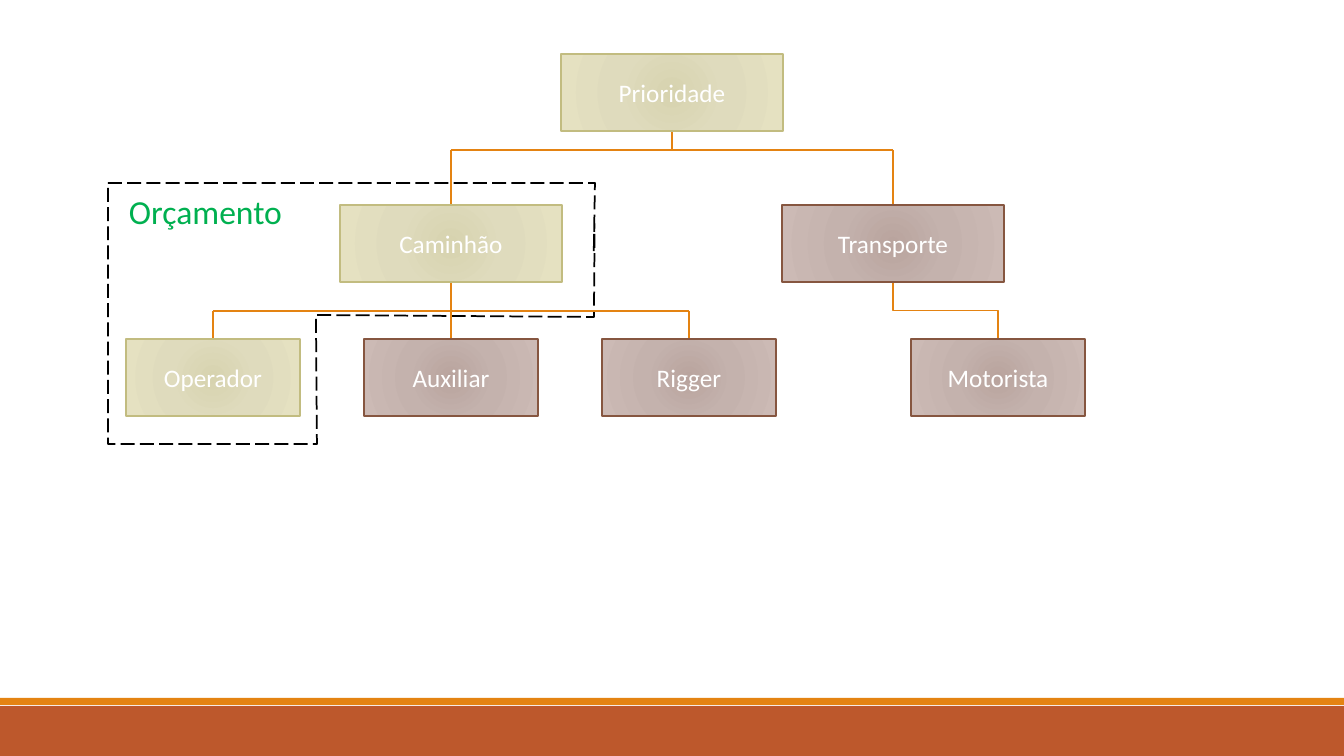
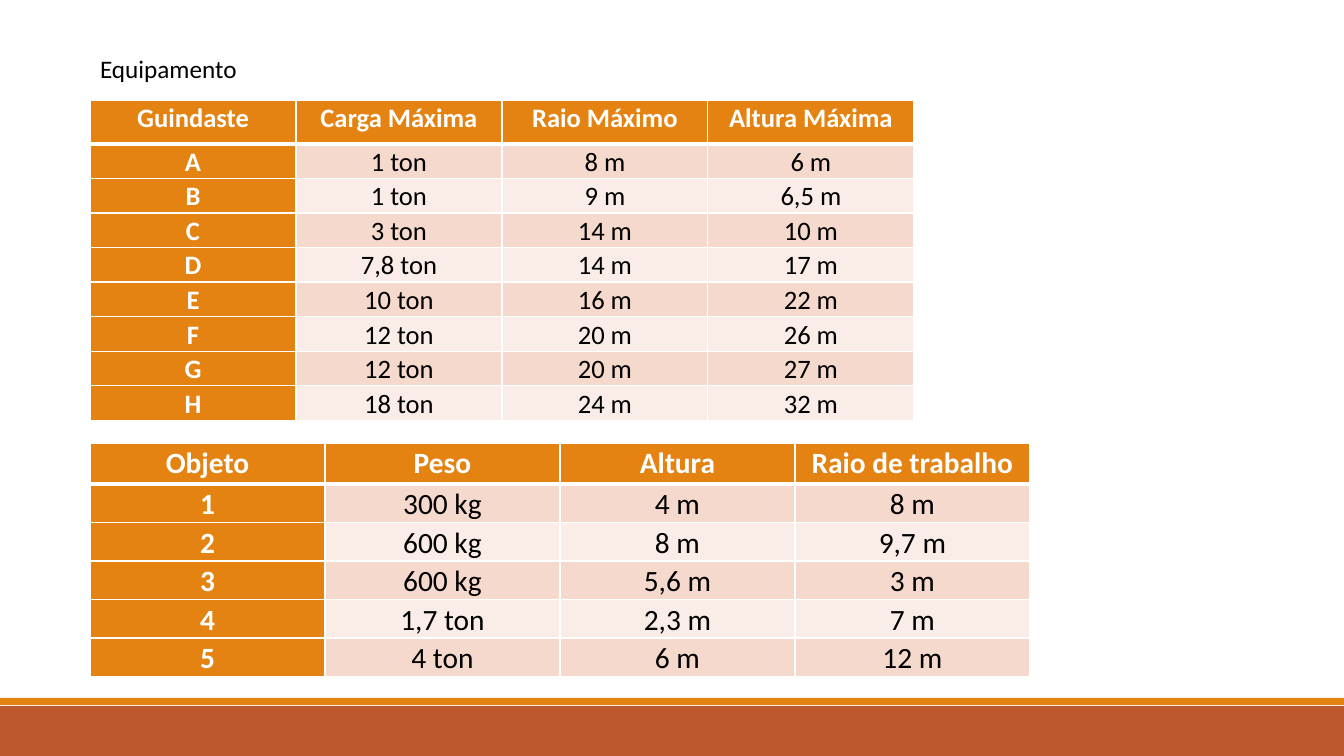
from pptx import Presentation
from pptx import util as u
from pptx.dml import color as colors
from pptx.enum import dml, shapes, text
from pptx.oxml import parse_xml
from pptx.oxml import ns

EMU_PER_PX = 12192000 / 1344
WHITE, BLACK, ORANGE, RUST, GREEN = "FFFFFF", "000000", "E48312", "BD582C", "00B050"
BAND_FILLS = ("F5D9CC", "FAEDE7")
OLIVE = {"stops": ((0, "D7D3AF"), (45, "DFDBBD"), (100, "E5E1C1")), "line": "C2BC80"}
MAUVE = {"stops": ((0, "B9A49E"), (45, "C4B2AD"), (100, "CCBAB5")), "line": "865640"}
CENTERED = {"alignment": text.PP_ALIGN.CENTER}
TABLE_PARAGRAPH = {**CENTERED, "line_spacing": 1.07, "space_after": u.Pt(8)}

CRANES = (
    ("Guindaste", "Carga Máxima", "Raio Máximo", "Altura Máxima"),
    ("A", "1 ton", "8 m", "6 m"),
    ("B", "1 ton", "9 m", "6,5 m"),
    ("C", "3 ton", "14 m", "10 m"),
    ("D", "7,8 ton", "14 m", "17 m"),
    ("E", "10 ton", "16 m", "22 m"),
    ("F", "12 ton", "20 m", "26 m"),
    ("G", "12 ton", "20 m", "27 m"),
    ("H", "18 ton", "24 m", "32 m"),
)
LOADS = (
    ("Objeto", "Peso", "Altura", "Raio de trabalho"),
    ("1", "300 kg", "4 m", "8 m"),
    ("2", "600 kg", "8 m", "9,7 m"),
    ("3", "600 kg", "5,6 m", "3 m"),
    ("4", "1,7 ton", "2,3 m", "7 m"),
    ("5", "4 ton", "6 m", "12 m"),
)


def px(length):
    return u.Emu(round(length * EMU_PER_PX))


def rgb(value):
    return colors.RGBColor.from_string(value)


def apply(target, values):
    for name, value in values.items():
        setattr(target, name, value)


def write(frame, words, size, color, bold=False, paragraph_format=None):
    paragraph = frame.paragraphs[0]
    apply(paragraph, paragraph_format or {})
    run = paragraph.add_run()
    run.text = words
    apply(run.font, {"name": "Calibri", "size": u.Pt(size), "bold": bold})
    run.font.color.rgb = rgb(color)


def set_line(line, color, points):
    line.color.rgb = rgb(color)
    line.width = u.Pt(points)


def add_rectangle(slide, left, top, width, height, fill):
    shape = slide.shapes.add_shape(
        shapes.MSO_SHAPE.RECTANGLE, px(left), px(top), px(width), px(height))
    shape.shadow.inherit = False
    shape.fill.solid()
    shape.fill.fore_color.rgb = rgb(fill)
    shape.line.fill.background()
    return shape


def add_bands(presentation, slide):
    tree = presentation.slide_master.element.cSld.spTree
    for top, height, fill in ((706, 50, RUST), (698, 7, ORANGE)):
        tree.append(add_rectangle(slide, 0, top, 1344, height, fill).element)


def add_radial_fill(shape, stops):
    stop_xml = "".join(
        f'<a:gs pos="{position * 1000}"><a:srgbClr val="{color}"/></a:gs>'
        for position, color in stops)
    gradient = parse_xml(
        f'<a:gradFill {ns.nsdecls("a")} rotWithShape="1"><a:gsLst>{stop_xml}</a:gsLst>'
        '<a:path path="circle"><a:fillToRect l="100000" t="100000" r="100000" b="100000"/>'
        '</a:path></a:gradFill>')
    properties = shape.element.spPr
    properties.replace(properties.find(ns.qn("a:solidFill")), gradient)


def add_node(slide, center, top, width, height, words, theme):
    shape = add_rectangle(slide, center - width // 2, top, width, height, WHITE)
    add_radial_fill(shape, theme["stops"])
    set_line(shape.line, theme["line"], 1)
    shape.text_frame.vertical_anchor = text.MSO_ANCHOR.MIDDLE
    write(shape.text_frame, words, 18, WHITE, paragraph_format=CENTERED)


def add_link(slide, start_x, start_y, end_x, end_y, kind=shapes.MSO_CONNECTOR.STRAIGHT):
    connector = slide.shapes.add_connector(
        kind, px(start_x), px(start_y), px(end_x), px(end_y))
    set_line(connector.line, ORANGE, 1)
    connector.element.spPr.append(parse_xml(f'<a:effectLst {ns.nsdecls("a")}/>'))
    return connector


def add_vertical_elbow(slide, start_x, start_y, end_x, end_y):
    connector = add_link(slide, start_x, start_y, end_x, end_y, shapes.MSO_CONNECTOR.ELBOW)
    across, down = end_x - start_x, end_y - start_y
    apply(connector, {
        "left": px((start_x + end_x - down) / 2), "top": px((start_y + end_y - across) / 2),
        "width": px(down), "height": px(across)})
    transform = connector.element.spPr.find(ns.qn("a:xfrm"))
    transform.set("rot", "16200000")
    transform.set("flipH", "1")


def add_branch(slide, parent, parent_bottom, bus, children, child_top):
    add_link(slide, parent, parent_bottom, parent, bus)
    add_link(slide, children[0], bus, children[-1], bus)
    for child in children:
        add_link(slide, child, bus, child, child_top)


def curve_points(points, steps=16):
    weights = (1, 3, 3, 1)
    for step in range(1, steps + 1):
        t = step / steps
        yield tuple(
            sum(weight * (1 - t) ** (3 - power) * t ** power * point[axis]
                for power, (weight, point) in enumerate(zip(weights, points)))
            for axis in (0, 1))


def add_budget_outline(slide, left, top):
    curve = ((487, 0), (484, 189), (488, -93), (486, 134))
    corners = [(0, 0), curve[0], *curve_points(curve), (208, 132), (209, 261), (0, 261)]
    vertices = [(px(left + x), px(top + y)) for x, y in corners]
    builder = slide.shapes.build_freeform(*vertices[0], scale=1.0)
    builder.add_line_segments(vertices[1:], close=True)
    shape = builder.convert_to_shape()
    shape.shadow.inherit = False
    shape.fill.solid()
    shape.fill.fore_color.rgb = rgb(WHITE)
    set_line(shape.line, BLACK, 1.25)
    shape.line.dash_style = dml.MSO_LINE.LONG_DASH


def add_budget_label(slide, left, top):
    label = slide.shapes.add_textbox(px(left), px(top), px(188), px(50))
    apply(label.text_frame, {
        "word_wrap": False, "auto_size": text.MSO_AUTO_SIZE.SHAPE_TO_FIT_TEXT})
    write(label.text_frame, "Orçamento", 24, GREEN)


def add_priority_chart(slide, left, top):
    wide, narrow, height = 222, 174, 77
    root = left + 564
    truck, transport = root - 221, root + 221
    crew = [truck + offset for offset in (-238, 0, 238)]
    driver = transport + 105
    middle, bottom = top + 151, top + 285

    add_budget_outline(slide, left, top + 129)
    add_branch(slide, root, top + height, top + 96, (truck, transport), middle)
    add_branch(slide, truck, middle + height, top + 257, crew, bottom)
    add_vertical_elbow(slide, transport, middle + height, driver, bottom)
    nodes = (
        (root, top, wide, "Prioridade", OLIVE),
        (truck, middle, wide, "Caminhão", OLIVE),
        (transport, middle, wide, "Transporte", MAUVE),
        (crew[0], bottom, narrow, "Operador", OLIVE),
        (crew[1], bottom, narrow, "Auxiliar", MAUVE),
        (crew[2], bottom, narrow, "Rigger", MAUVE),
        (driver, bottom, narrow, "Motorista", MAUVE),
    )
    for center, node_top, width, words, theme in nodes:
        add_node(slide, center, node_top, width, height, words, theme)
    add_budget_label(slide, left + 11, top + 132)


def add_heading(slide, left, top, width, height, words):
    title = slide.shapes.title
    apply(title, {"left": px(left), "top": px(top), "width": px(width), "height": px(height)})
    apply(title.text_frame, {
        "word_wrap": True, "auto_size": text.MSO_AUTO_SIZE.NONE,
        "vertical_anchor": text.MSO_ANCHOR.TOP})
    write(title.text_frame, words, 18, BLACK,
          paragraph_format={"alignment": text.PP_ALIGN.LEFT})


def set_borders(cell, is_header):
    properties = cell._tc.get_or_add_tcPr()
    for index, side in enumerate("LRTB"):
        points = 3 if is_header and side == "B" else 1
        properties.insert(index, parse_xml(
            f'<a:ln{side} {ns.nsdecls("a")} w="{points * 12700}"><a:solidFill>'
            f'<a:srgbClr val="{WHITE}"/></a:solidFill></a:ln{side}>'))


def add_data_table(slide, left, top, column_width, header_height, row_height, size, records):
    columns = len(records[0])
    table = slide.shapes.add_table(
        len(records), columns, px(left), px(top), px(column_width * columns),
        px(header_height + row_height * (len(records) - 1))).table
    table.first_col = True
    for column in table.columns:
        column.width = px(column_width)
    for row_index, record in enumerate(records):
        is_header = row_index == 0
        table.rows[row_index].height = px(header_height if is_header else row_height)
        for column_index, words in enumerate(record):
            cell = table.cell(row_index, column_index)
            is_label = is_header or column_index == 0
            apply(cell, {"margin_left": px(14), "margin_right": px(14),
                         "margin_top": 0, "margin_bottom": 0})
            cell.fill.solid()
            cell.fill.fore_color.rgb = rgb(ORANGE if is_label else BAND_FILLS[(row_index - 1) % 2])
            set_borders(cell, is_header)
            write(cell.text_frame, words, size, WHITE if is_label else BLACK,
                  is_label, TABLE_PARAGRAPH)


def build_priority_slide(presentation):
    slide = presentation.slides.add_slide(presentation.slide_layouts[6])
    add_bands(presentation, slide)
    add_priority_chart(slide, 108, 54)


def build_equipment_slide(presentation):
    slide = presentation.slides.add_slide(presentation.slide_layouts[5])
    add_heading(slide, 90, 48, 816, 40, "Equipamento")
    add_data_table(slide, 90, 100, 206, 44, 30, 19, CRANES)
    add_data_table(slide, 90, 443, 235, 41, 32, 21, LOADS)


def main():
    presentation = Presentation()
    apply(presentation, {"slide_width": px(1344), "slide_height": px(756)})
    build_priority_slide(presentation)
    build_equipment_slide(presentation)
    presentation.save("out.pptx")


if __name__ == "__main__":
    main()
